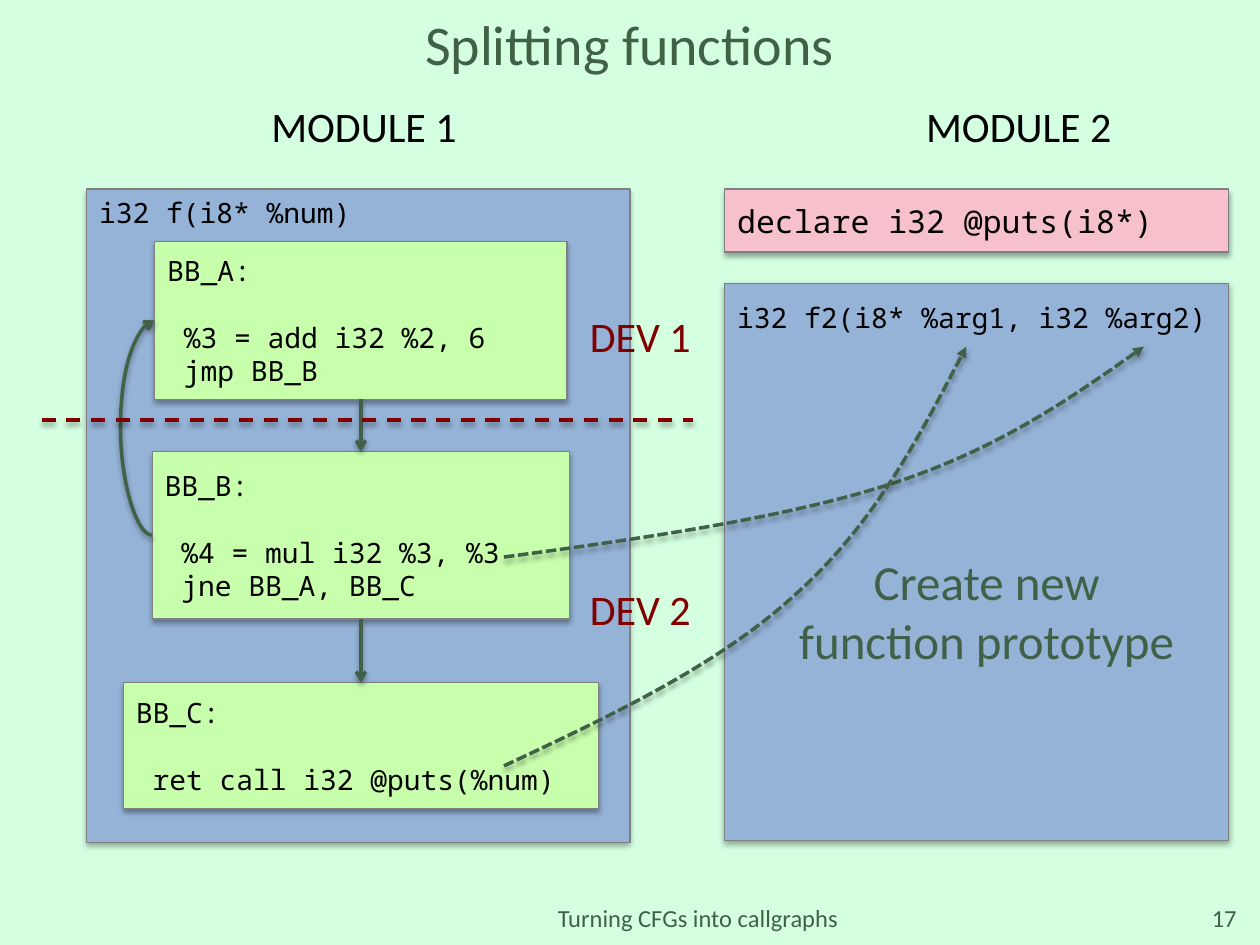
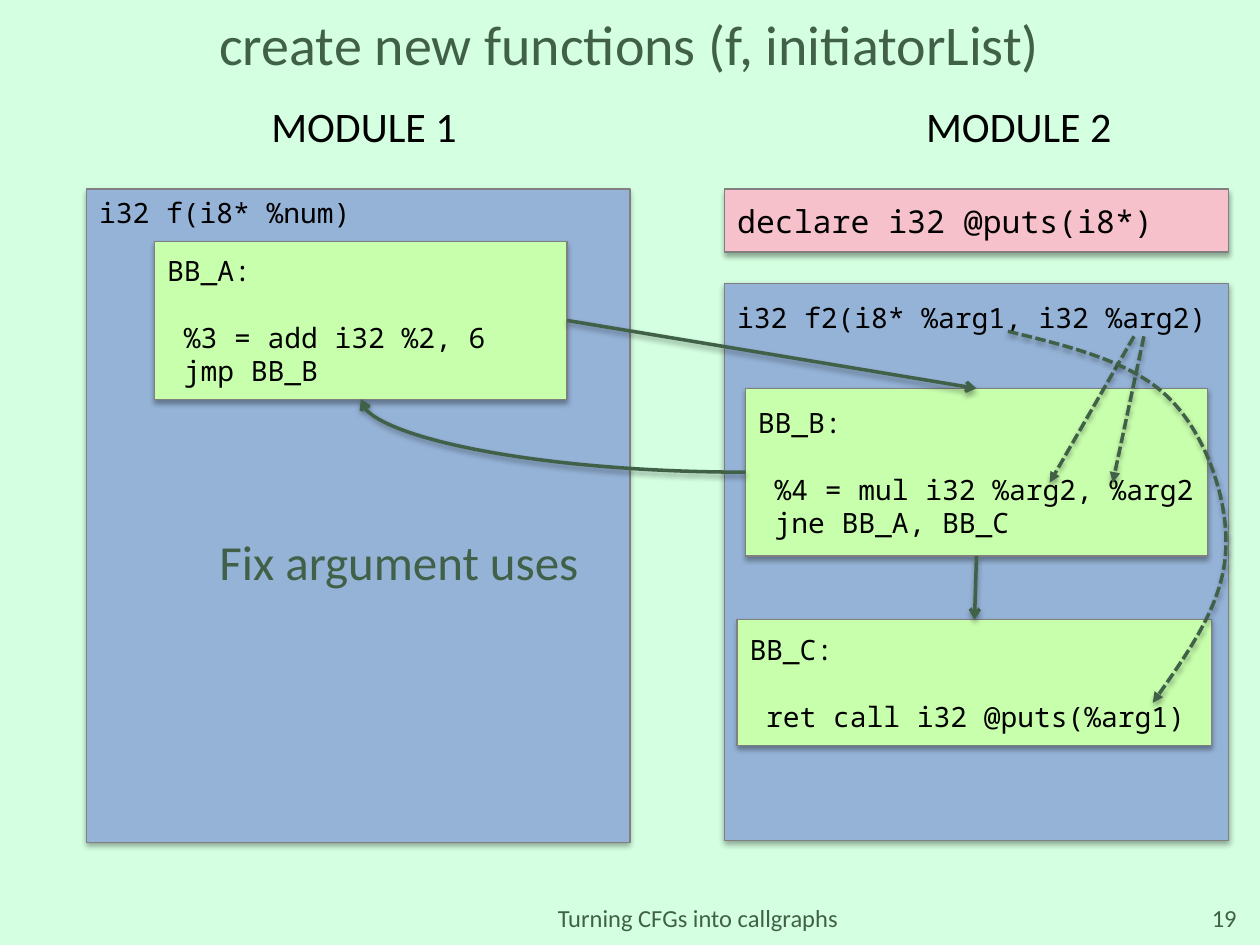
"""Build two slides showing how a function is split across two modules."""
from lxml import etree
from pptx import Presentation
from pptx.dml.color import RGBColor as RGB
from pptx.enum.dml import MSO_LINE as DASH
from pptx.enum.shapes import MSO_CONNECTOR as CONN, MSO_SHAPE as SHAPE
from pptx.enum.text import MSO_ANCHOR as ANCHOR, PP_ALIGN as ALIGN
from pptx.oxml import parse_xml
from pptx.oxml.ns import nsdecls, qn
from pptx.util import Cm, Pt

COLORS = {"mint": "D4FFE1", "green": "406148", "blue": "95B3D7", "lime": "C8FFAD",
          "pink": "F7C1CC", "grey": "808080", "red": "800000", "black": "000000"}
SANS, MONO = "Calibri", "Noto Sans Mono"
TOP, LEFT, BOTTOM, RIGHT = range(4)
CODE_LINE = 19.1


def outline(sp, color="green", width=2, dash=None, tail=None):
    """Set the line, arrowhead and soft shadow of a shape or connector."""
    sp.line.color.rgb = RGB.from_string(COLORS[color])
    sp.line.width = Pt(width)
    if dash:
        sp.line.dash_style = dash
    spPr = sp._element.spPr
    if tail:
        etree.SubElement(spPr.find(qn("a:ln")), qn("a:tailEnd"), type=tail)
    spPr.append(parse_xml(
        f'<a:effectLst {nsdecls("a")}><a:outerShdw blurRad="39370" dist="22860" '
        'dir="5400000" rotWithShape="0"><a:srgbClr val="000000">'
        '<a:alpha val="35000"/></a:srgbClr></a:outerShdw></a:effectLst>'))


def add_text(slide, text, x, y, w, h, fill=None, size=16, font=MONO, color="black",
             align=ALIGN.LEFT, anchor=ANCHOR.TOP, gap=0):
    """Add text in a plain box, or in a filled rectangle; gap follows line one."""
    at = Cm(x), Cm(y), Cm(w), Cm(h)
    if fill:
        sp = slide.shapes.add_shape(SHAPE.RECTANGLE, *at)
        sp.fill.solid()
        sp.fill.fore_color.rgb = RGB.from_string(COLORS[fill])
        outline(sp, "grey", 0.75)
    else:
        sp = slide.shapes.add_textbox(*at)
    tf = sp.text_frame
    tf.word_wrap = True
    tf.vertical_anchor = anchor
    for i, line in enumerate(text.split("\n") if text else []):
        p = tf.paragraphs[0] if i == 0 else tf.add_paragraph()
        p.alignment = align
        if i == 1:
            p.space_before = Pt(gap)
        r = p.add_run()
        r.text = line
        r.font.size, r.font.name = Pt(size), font
        r.font.color.rgb = RGB.from_string(COLORS[color])
    return sp


BLOCK_A = ("BB_A:\n %3 = add i32 %2, 6\n jmp BB_B", 3.12, 4.87, 8.31, 3.18)
SLIDES = [
    {
        "title": "Splitting functions",
        "number": "17",
        "blocks": {
            "A": BLOCK_A,
            "B": ("BB_B:\n %4 = mul i32 %3, %3\n jne BB_A, BB_C", 3.07, 9.1, 8.41, 3.38),
            "C": ("BB_C:\n ret call i32 @puts(%num)", 2.49, 13.76, 9.57, 2.54),
        },
        "jumps": [("A", BOTTOM, "B", TOP, None), ("B", BOTTOM, "C", TOP, None),
                  ("B", LEFT, "A", LEFT, "curvedConnector3")],
        "lines": [(0.84, 8.47, 13.97, 8.47, "red", DASH.DASH, None)],
        "devices": [("DEV 1", 6.14), ("DEV 2", 11.64)],
        "note": ("Create new function prototype", 15.66, 11, 8.46, 2.64),
        "curves": [
            [(10.16, 11.23), (13, 10.85), (15.85, 10.44), (17.98, 9.75),
             (20.14, 9.04), (21.62, 8), (23.06, 6.99)],
            [(10.16, 15.44), (12.32, 14.43), (14.48, 13.41), (16.03, 11.99),
             (17.6, 10.59), (18.54, 8.79), (19.48, 6.99)],
        ],
    },
    {
        "title": "create new functions (f, initiatorList)",
        "number": "19",
        "blocks": {
            "A": BLOCK_A,
            "B": ("BB_B:\n %4 = mul i32 %arg2, %arg2\n jne BB_A, BB_C",
                  15.03, 7.83, 9.31, 3.38),
            "C": ("BB_C:\n ret call i32 @puts(%arg1)", 14.86, 12.49, 9.57, 2.54),
        },
        "jumps": [("A", RIGHT, "B", TOP, None), ("B", BOTTOM, "C", TOP, None),
                  ("B", LEFT, "A", BOTTOM, "curvedConnector2")],
        "lines": [(22.86, 6.78, 21.16, 9.73, "green", DASH.SQUARE_DOT, "triangle"),
                  (23.06, 6.78, 22.43, 9.73, "green", DASH.SQUARE_DOT, "triangle")],
        "devices": [],
        "note": ("Fix argument uses", 3.81, 10.59, 8.46, 1.45),
        "curves": [
            [(20.32, 6.68), (21.59, 6.99), (22.83, 7.29), (23.57, 8.03), (24.31, 8.76),
             (24.77, 10.08), (24.71, 11.1), (24.66, 12.14), (23.95, 13.16), (23.24, 14.17)],
        ],
    },
]

prs = Presentation()
prs.slide_width, prs.slide_height = Cm(25.4), Cm(19.05)
background = prs.slide_master.background.fill
background.solid()
background.fore_color.rgb = RGB.from_string(COLORS["mint"])

for data in SLIDES:
    s = prs.slides.add_slide(prs.slide_layouts[6])

    add_text(s, "", 14.61, 5.72, 10.16, 11.22, fill="blue")
    add_text(s, "", 1.75, 3.81, 10.95, 13.18, fill="blue")
    blocks = {name: add_text(s, *block, fill="lime", anchor=ANCHOR.MIDDLE, gap=CODE_LINE)
              for name, block in data["blocks"].items()}

    for start, start_side, end, end_side, curve in data["jumps"]:
        kind = CONN.CURVE if curve else CONN.STRAIGHT
        cxn = s.shapes.add_connector(kind, 0, 0, 0, 0)
        cxn.begin_connect(blocks[start], start_side)
        cxn.end_connect(blocks[end], end_side)
        if curve:
            geom = cxn._element.spPr.find(qn("a:prstGeom"))
            geom.set("prst", curve)
            if curve == "curvedConnector3":
                bulge = round(-Cm(0.64) / cxn.width * 100000)
                etree.SubElement(geom.find(qn("a:avLst")), qn("a:gd"),
                                 name="adj1", fmla=f"val {bulge}")
        outline(cxn, tail="arrow")

    for x1, y1, x2, y2, color, dash, tail in data["lines"]:
        cxn = s.shapes.add_connector(CONN.STRAIGHT, Cm(x1), Cm(y1), Cm(x2), Cm(y2))
        outline(cxn, color, dash=dash, tail=tail)

    for device, y in data["devices"]:
        add_text(s, device, 11.64, y, 2.57, 1.27, size=24, font=SANS, color="red")
    for module, x in (("MODULE 1", 5.22), ("MODULE 2", 18.42)):
        add_text(s, module, x, 1.9, 4.29, 1.27, size=24, font=SANS)
    add_text(s, "i32 f(i8* %num)", 1.75, 3.81, 6.93, 0.94)
    add_text(s, "i32 f2(i8* %arg1, i32 %arg2)", 14.61, 5.93, 10.16, 0.94)
    add_text(s, "declare i32 @puts(i8*)", 14.61, 3.81, 10.16, 1.27, fill="pink",
             size=18, anchor=ANCHOR.MIDDLE)

    for points in data["curves"]:
        first, *rest = [(Cm(x), Cm(y)) for x, y in points]
        builder = s.shapes.build_freeform(*first)
        builder.add_line_segments(rest, close=False)
        sp = builder.convert_to_shape()
        sp.fill.background()
        route = sp._element.spPr.find(".//" + qn("a:path"))
        segments = route.findall(qn("a:lnTo"))
        for i in range(0, len(segments), 3):
            bezier = etree.SubElement(route, qn("a:cubicBezTo"))
            for segment in segments[i:i + 3]:
                bezier.append(segment[0])
                route.remove(segment)
        outline(sp, dash=DASH.SQUARE_DOT, tail="triangle")

    add_text(s, *data["note"], size=28, font=SANS, color="green", align=ALIGN.CENTER)
    add_text(s, data["title"], 0.42, 0.42, 24.55, 0.9, size=32, font=SANS, color="green",
             align=ALIGN.CENTER, anchor=ANCHOR.MIDDLE)
    add_text(s, "Turning CFGs into callgraphs", 5.08, 17.99, 17.98, 1.02, size=14,
             font=SANS, color="green", align=ALIGN.CENTER, anchor=ANCHOR.MIDDLE)
    add_text(s, data["number"], 23.28, 17.99, 1.9, 1.02, size=14, font=SANS,
             color="green", align=ALIGN.RIGHT, anchor=ANCHOR.MIDDLE)

prs.save("out.pptx")
